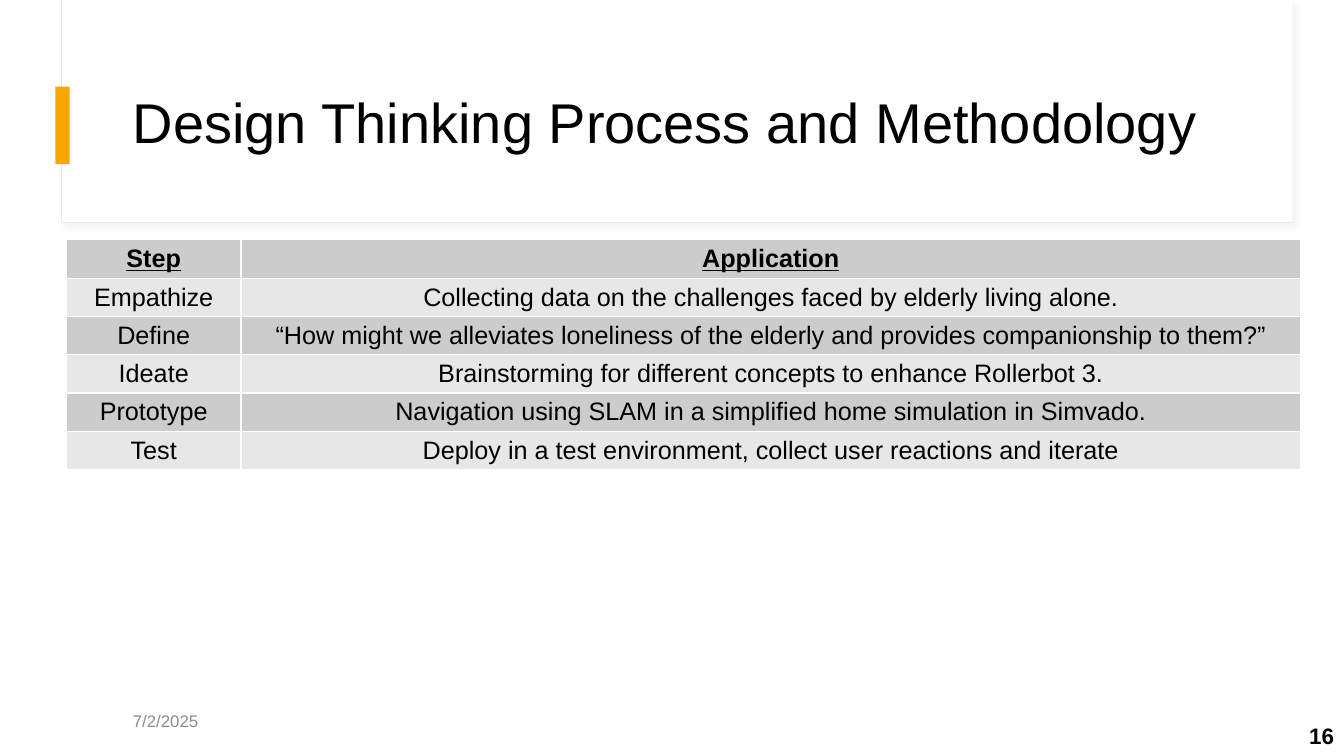
from lxml.etree import SubElement
from pptx import Presentation
from pptx.dml.color import RGBColor
from pptx.enum.shapes import MSO_SHAPE
from pptx.enum.text import MSO_ANCHOR, PP_ALIGN
from pptx.oxml import parse_xml
from pptx.oxml.ns import nsdecls, qn
from pptx.util import Inches, Pt

COLORS = {
    "white": "FFFFFF", "black": "000000", "frame": "E9E9E9", "shadow": "D9D9D9",
    "accent": "F5A700", "date": "8C8C8C", "dark_row": "CCCCCC", "light_row": "E7E7E7",
}
STEPS = [
    ("Step", "Application"),
    ("Empathize", "Collecting data on the challenges faced by elderly living alone."),
    ("Define", "“How might we alleviates loneliness of the elderly and provides companionship to them?”"),
    ("Ideate", "Brainstorming for different concepts to enhance Rollerbot 3."),
    ("Prototype", "Navigation using SLAM in a simplified home simulation in Simvado."),
    ("Test", "Deploy in a test environment, collect user reactions and iterate"),
]


def rgb(name):
    return RGBColor.from_string(COLORS[name])


def write(tf, text, size, color="black", align=PP_ALIGN.LEFT, bold=False,
          underline=False, spacing=1.0):
    tf.word_wrap = True
    p = tf.paragraphs[0]
    p.alignment = align
    p.line_spacing = spacing
    r = p.add_run()
    r.text = text
    r.font.name = "Arial"
    r.font.size = Pt(size)
    r.font.bold = bold
    r.font.underline = underline
    r.font.color.rgb = rgb(color)


prs = Presentation()
prs.slide_width, prs.slide_height = Inches(13.33), Inches(7.5)
s = prs.slides.add_slide(prs.slide_layouts[6])

# Title frame, its cover and the accent bar
panels = []
for left, top, width, height, fill in [
    (0.61, 0, 12.21, 2.21, "white"),
    (0.62, 0, 12.2, 2.2, "white"),
    (0.55, 0.86, 0.14, 0.77, "accent"),
]:
    sp = s.shapes.add_shape(MSO_SHAPE.RECTANGLE, Inches(left), Inches(top),
                            Inches(width), Inches(height))
    sp.shadow.inherit = False
    sp.fill.solid()
    sp.fill.fore_color.rgb = rgb(fill)
    sp.line.fill.background()
    panels.append(sp)

frame = panels[0]
frame.line.color.rgb = rgb("frame")
frame.line.width = Pt(0.75)
effects = frame._element.spPr.find(qn("a:effectLst"))
effects.append(parse_xml(
    f'<a:outerShdw {nsdecls("a")} blurRad="{Pt(4)}" dist="{Pt(3)}" dir="2700000" '
    f'algn="tl" rotWithShape="0"><a:srgbClr val="{COLORS["shadow"]}">'
    '<a:alpha val="30000"/></a:srgbClr></a:outerShdw>'))

# Title, date and slide number
for left, top, width, height, text, style in [
    (1.22, 0.6, 11.12, 1.29, "Design Thinking Process and Methodology",
     dict(size=40, spacing=0.9)),
    (1.22, 6.95, 3, 0.4, "7/2/2025", dict(size=12, color="date")),
    (10.33, 7.1, 3, 0.4, "16", dict(size=16, bold=True, align=PP_ALIGN.RIGHT)),
]:
    box = s.shapes.add_textbox(Inches(left), Inches(top), Inches(width), Inches(height))
    box.text_frame.vertical_anchor = MSO_ANCHOR.MIDDLE
    write(box.text_frame, text, **style)

# Table of steps
table = s.shapes.add_table(len(STEPS), 2, Inches(0.66), Inches(2.38),
                           Inches(12.24), Inches(0.38 * len(STEPS))).table
table.columns[0].width = Inches(1.73)
table.columns[1].width = Inches(10.51)
for i, row in enumerate(STEPS):
    for j, text in enumerate(row):
        cell = table.cell(i, j)
        cell.margin_top = cell.margin_bottom = Inches(0.04)
        cell.vertical_anchor = MSO_ANCHOR.MIDDLE
        write(cell.text_frame, text, 18, align=PP_ALIGN.CENTER,
              bold=i == 0, underline=i == 0)
        tc_pr = cell._tc.get_or_add_tcPr()
        for side in ("a:lnL", "a:lnR", "a:lnT", "a:lnB"):
            ln = SubElement(tc_pr, qn(side), w=str(Pt(1)))
            fill = SubElement(ln, qn("a:solidFill"))
            SubElement(fill, qn("a:srgbClr"), val=COLORS["white"])
        cell.fill.solid()
        cell.fill.fore_color.rgb = rgb("light_row" if i % 2 else "dark_row")

prs.save("out.pptx")
